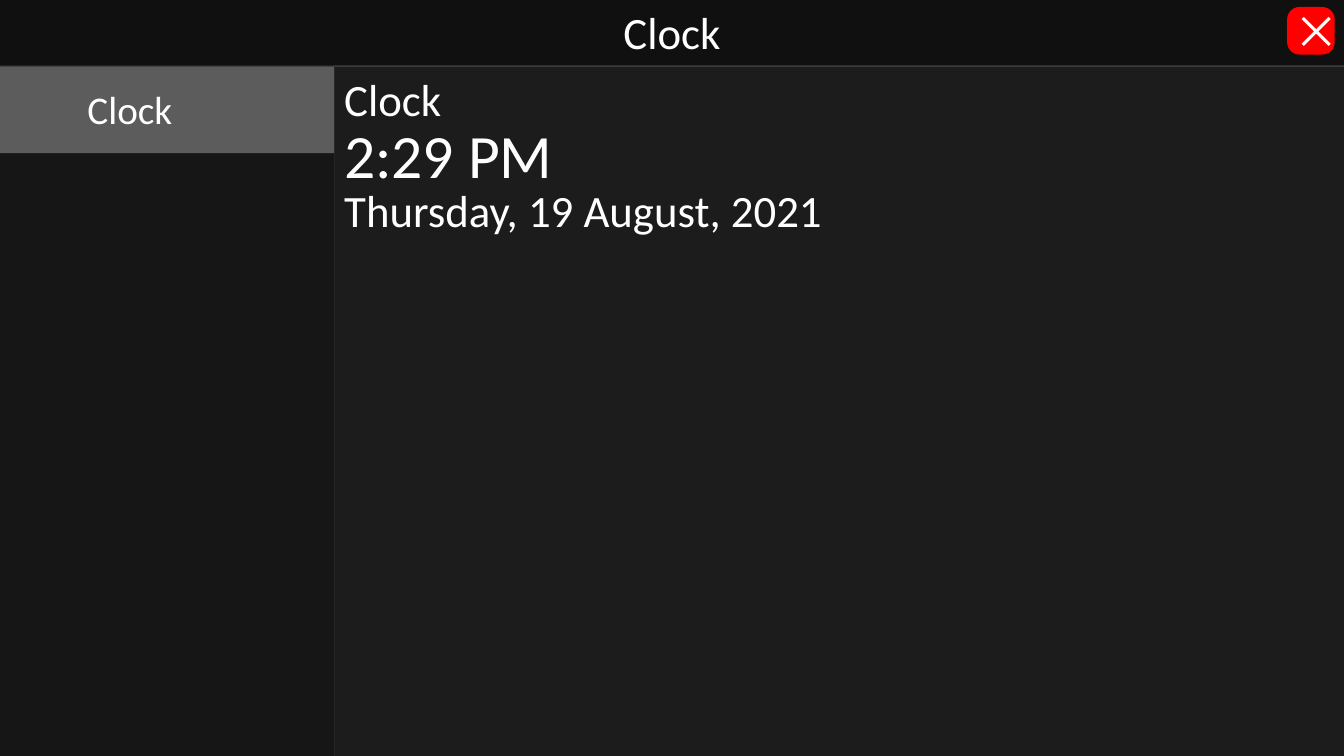
from dataclasses import dataclass

from pptx import Presentation
from pptx.dml.color import RGBColor
from pptx.enum.shapes import MSO_SHAPE as Shape
from pptx.enum.text import MSO_ANCHOR as Anchor, PP_ALIGN as Align
from pptx.oxml.ns import qn
from pptx.util import Pt
from lxml import etree


@dataclass(frozen=True)
class Theme:
    font: str = "Calibri"
    background: str = "404040"
    shade: str = "000000"
    highlight: str = "FFFFFF"
    close: str = "FF0000"
    text: str = "FFFFFF"
    menu_size: int = 28
    heading_size: int = 32
    time_size: int = 44


THEME = Theme()
WIDTH, HEIGHT = 960, 540
BAR_HEIGHT = 46.8
MENU_WIDTH = 238.8
CONTENT_TOP = 47.8


def write(shape, text, size, align=Align.LEFT, anchor=Anchor.TOP):
    frame = shape.text_frame
    frame.word_wrap = True
    frame.vertical_anchor = anchor
    paragraph = frame.paragraphs[0]
    paragraph.alignment = align
    run = paragraph.add_run()
    run.text = text
    formats = {"name": THEME.font, "size": Pt(size)}
    for name, value in formats.items():
        setattr(run.font, name, value)
    run.font.color.rgb = RGBColor.from_string(THEME.text)


def add_panel(slide, box, color, opacity=100, kind=Shape.RECTANGLE):
    """Add a borderless filled shape; opacity is in percent."""
    shape = slide.shapes.add_shape(kind, *map(Pt, box))
    shape.shadow.inherit = False
    shape.line.fill.background()
    shape.fill.solid()
    shape.fill.fore_color.rgb = RGBColor.from_string(color)
    if opacity < 100:
        color_element = shape.fill._xPr.find(".//" + qn("a:srgbClr"))
        alpha = etree.SubElement(color_element, qn("a:alpha"))
        alpha.set("val", str(opacity * 1000))
    return shape


def add_label(slide, box, text, size, **layout):
    write(slide.shapes.add_textbox(*map(Pt, box)), text, size, **layout)


def add_close_button(slide):
    button = add_panel(slide, (919.4, 5, 34, 34), THEME.close,
                       kind=Shape.ROUNDED_RECTANGLE)
    button.adjustments[0] = 0.26
    write(button, "⨉", THEME.menu_size, Align.CENTER, Anchor.MIDDLE)


def main():
    presentation = Presentation()
    presentation.slide_width, presentation.slide_height = Pt(WIDTH), Pt(HEIGHT)
    slide = presentation.slides.add_slide(presentation.slide_layouts[6])
    slide.background.fill.solid()
    slide.background.fill.fore_color.rgb = RGBColor.from_string(THEME.background)

    add_panel(slide, (0, 0, WIDTH, BAR_HEIGHT), THEME.shade, 75)
    add_label(slide, (312, -0.5, 336, 46), "Clock", THEME.heading_size,
              align=Align.CENTER)
    add_close_button(slide)

    add_panel(slide, (0, BAR_HEIGHT, MENU_WIDTH, HEIGHT - BAR_HEIGHT),
              THEME.shade, 65)
    add_panel(slide, (0, 47.4, MENU_WIDTH, 62), THEME.highlight, 30)
    add_panel(slide, (MENU_WIDTH, CONTENT_TOP, WIDTH - MENU_WIDTH,
                      HEIGHT - CONTENT_TOP), THEME.shade, 55)

    add_label(slide, (MENU_WIDTH, 47.5, 176, 46), "Clock", THEME.heading_size)
    add_label(slide, (55.4, 57.6, 176, 41), "Clock", THEME.menu_size)
    add_label(slide, (MENU_WIDTH, 79.2, 241, 62), "2:29 PM", THEME.time_size,
              anchor=Anchor.MIDDLE)
    add_label(slide, (MENU_WIDTH, 126, 441, 46.8), "Thursday, 19 August, 2021",
              THEME.heading_size, anchor=Anchor.MIDDLE)

    presentation.save("out.pptx")


if __name__ == "__main__":
    main()
